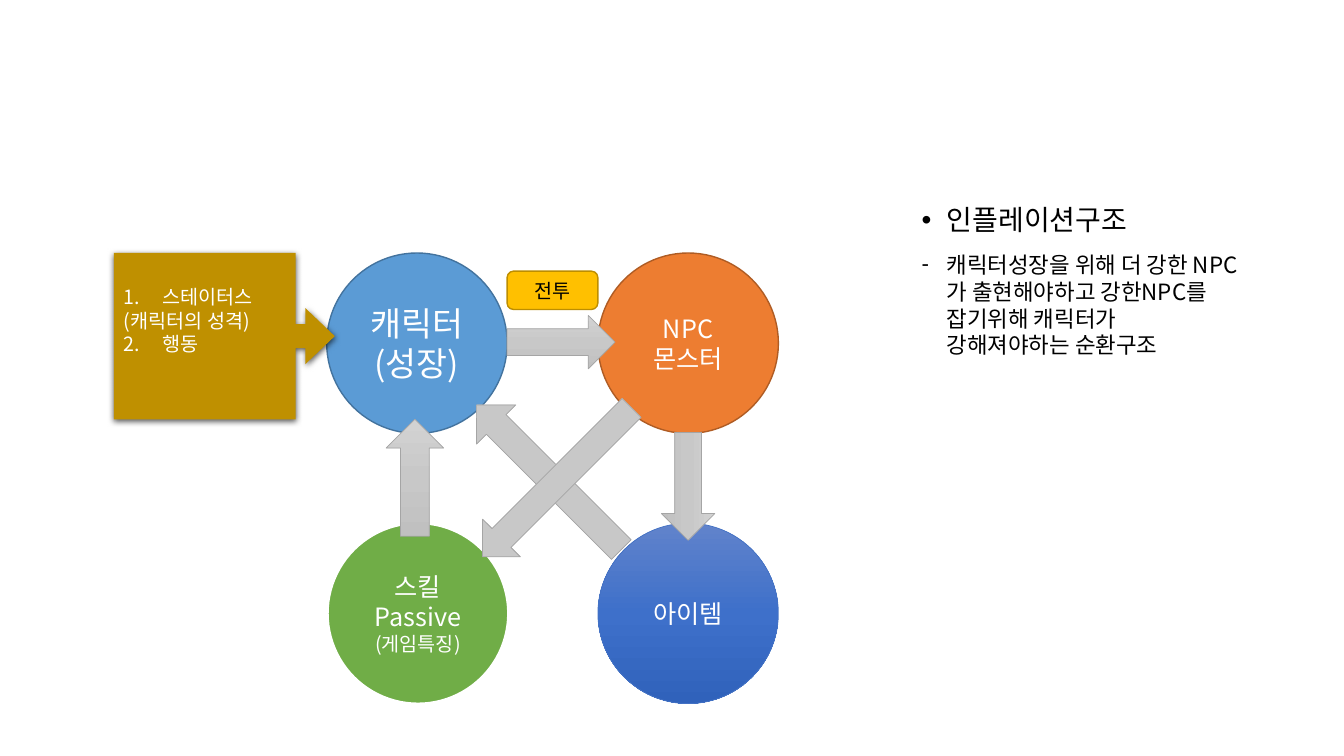
from lxml import etree
from pptx import Presentation
from pptx.dml.color import RGBColor
from pptx.enum.shapes import MSO_SHAPE
from pptx.enum.text import MSO_ANCHOR, MSO_AUTO_SIZE, PP_ALIGN
from pptx.oxml.ns import qn
from pptx.util import Pt

PX = 9144  # 100 px to the inch
FONT = "Noto Sans CJK KR"
COLORS = {
    "black": "000000", "white": "FFFFFF",
    "blue": "5B9BD5", "blue_edge": "43739E",
    "orange": "ED7D31", "orange_edge": "AF5C24",
    "green": "70AD47", "item_edge": "4472C4", "arrow_edge": "A5A5A5",
    "yellow": "FFC000", "yellow_edge": "BD8E00", "gold": "BF9000",
}
ITEM_GRADIENT = ("6183CB", "3E70CA", "3062BB")
ARROW_GRADIENT = ("D2D2D2", "C8C8C8", "C0C0C0")

CENTER, LEFT = PP_ALIGN.CENTER, PP_ALIGN.LEFT
MIDDLE, TOP = MSO_ANCHOR.MIDDLE, MSO_ANCHOR.TOP
NO_AUTOFIT = MSO_AUTO_SIZE.NONE
ELLIPSE, ROUNDED = MSO_SHAPE.OVAL, MSO_SHAPE.ROUNDED_RECTANGLE
RIGHT_ARROW, LEFT_ARROW = MSO_SHAPE.RIGHT_ARROW, MSO_SHAPE.LEFT_ARROW
UP_ARROW, CALLOUT = MSO_SHAPE.UP_ARROW, MSO_SHAPE.RIGHT_ARROW_CALLOUT


def rgb(name):
    return RGBColor.from_string(COLORS[name])


def add_element(parent, tag, **attributes):
    return etree.SubElement(parent, qn(tag), attributes)


def place(shape, box):
    shape.left, shape.top, shape.width, shape.height = (n * PX for n in box)


def set_bullet(paragraph, bullet, indent):
    """Give a bullet character, or an automatic number if bullet is an integer."""
    properties = paragraph._p.get_or_add_pPr()
    properties.set("marL", str(indent * PX))
    properties.set("indent", str(-indent * PX))
    if isinstance(bullet, int):
        add_element(properties, "a:buFont", typeface="+mj-lt")
        add_element(properties, "a:buAutoNum", type="arabicPeriod", startAt=str(bullet))
    else:
        add_element(properties, "a:buFont", typeface="Arial")
        add_element(properties, "a:buChar", char=bullet)


def write(frame, text, size=18, color="white", align=CENTER, bullet=None,
          indent=25, spacing=1.0, before=0):
    """Add one paragraph, using the first one while it is still empty."""
    paragraph = frame.paragraphs[0]
    if paragraph.runs:
        paragraph = frame.add_paragraph()
    paragraph.alignment = align
    paragraph.line_spacing = spacing
    paragraph.space_before = Pt(before)
    if bullet is not None:
        set_bullet(paragraph, bullet, indent)
    run = paragraph.add_run()
    run.text = text
    run.font.size = Pt(size)
    run.font.color.rgb = rgb(color)
    run.font.name = FONT
    add_element(run.font._element, "a:ea", typeface=FONT)


def fill_gradient(shape, stops):
    """Fill from top to bottom with evenly spaced stops."""
    shape.fill.gradient()
    shape.fill.gradient_angle = 270
    stop_list = shape._element.spPr.find(qn("a:gradFill")).find(qn("a:gsLst"))
    for old_stop in list(stop_list):
        stop_list.remove(old_stop)
    for index, color in enumerate(stops):
        position = 100000 * index // (len(stops) - 1)
        stop = add_element(stop_list, "a:gs", pos=str(position))
        add_element(stop, "a:srgbClr", val=color)


def add_shape(slide, kind, box, fill, edge=None, edge_width=1, rotation=0):
    shape = slide.shapes.add_shape(kind, *(n * PX for n in box))
    shape.shadow.inherit = False
    shape.rotation = rotation
    if isinstance(fill, tuple):
        fill_gradient(shape, fill)
    else:
        shape.fill.solid()
        shape.fill.fore_color.rgb = rgb(fill)
    if edge:
        shape.line.color.rgb = rgb(edge)
        shape.line.width = Pt(edge_width)
    else:
        shape.line.fill.background()
    shape.text_frame.vertical_anchor = MIDDLE
    return shape


def add_circle(slide, left, top, fill, edge, edge_width, lines):
    circle = add_shape(slide, ELLIPSE, (left, top, 179, 179), fill, edge, edge_width)
    for text, size in lines:
        write(circle.text_frame, text, size=size)


def add_drop_shadow(shape):
    effects = shape._element.spPr.find(qn("a:effectLst"))
    shadow = add_element(effects, "a:outerShdw", blurRad=str(Pt(4.5)),
                         dist=str(Pt(1.5)), dir="5400000", algn="ctr", rotWithShape="0")
    color = add_element(shadow, "a:srgbClr", val=COLORS["black"])
    add_element(color, "a:alpha", val="63000")


def add_explanation(slide):
    body = slide.placeholders[1]
    place(body, (904, 200, 338, 476))
    frame = body.text_frame
    frame.auto_size = NO_AUTOFIT
    frame.vertical_anchor = TOP
    write(frame, "인플레이션구조", size=20, color="black", align=LEFT,
          bullet="•", spacing=0.9, before=10)
    write(frame, "캐릭터성장을 위해 더 강한 NPC가 출현해야하고 강한NPC를 "
          "잡기위해 캐릭터가 강해져야하는 순환구조",
          size=16, color="black", align=LEFT, bullet="-", before=10)


def add_status_callout(slide):
    callout = add_shape(slide, CALLOUT, (113, 251, 219, 165), "gold")
    for index, value in enumerate((0.145, 0.169, 0.177, 0.823)):
        callout.adjustments[index] = value
    add_drop_shadow(callout)
    frame = callout.text_frame
    frame.margin_bottom = 36 * PX
    for text, number in (("스테이터스", 1), ("(캐릭터의 성격)", None), ("행동", 2)):
        write(frame, text, size=14, align=LEFT, bullet=number, indent=38)


def main():
    presentation = Presentation()
    presentation.slide_width, presentation.slide_height = 1333 * PX, 750 * PX
    slide = presentation.slides.add_slide(presentation.slide_layouts[1])
    title = slide.shapes.title._element
    title.getparent().remove(title)
    add_explanation(slide)

    circles = (
        (324, 251, "blue", "blue_edge", 1, (("캐릭터", 24), ("(성장)", 24))),
        (593, 519, ITEM_GRADIENT, "item_edge", 0.5, (("아이템", 18),)),
        (325, 519, "green", "white", 1.5,
         (("스킬", 18), ("Passive", 18), ("(게임특징)", 14))),
        (593, 251, "orange", "orange_edge", 1, (("NPC", 18), ("몬스터", 18))),
    )
    for circle in circles:
        add_circle(slide, *circle)

    arrows = (
        (RIGHT_ARROW, (503, 313, 107, 53), 0),
        (RIGHT_ARROW, (629, 456, 107, 53), 90),
        (LEFT_ARROW, (443, 446, 203, 55), 45),
        (UP_ARROW, (383, 416, 57, 116), 0),
        (RIGHT_ARROW, (448, 452, 209, 53), 135),
    )
    for kind, box, rotation in arrows:
        add_shape(slide, kind, box, ARROW_GRADIENT, "arrow_edge", 0.5, rotation)

    battle = add_shape(slide, ROUNDED, (503, 269, 90, 38), "yellow", "yellow_edge")
    write(battle.text_frame, "전투", size=14, color="black")
    add_status_callout(slide)
    presentation.save("out.pptx")


if __name__ == "__main__":
    main()
